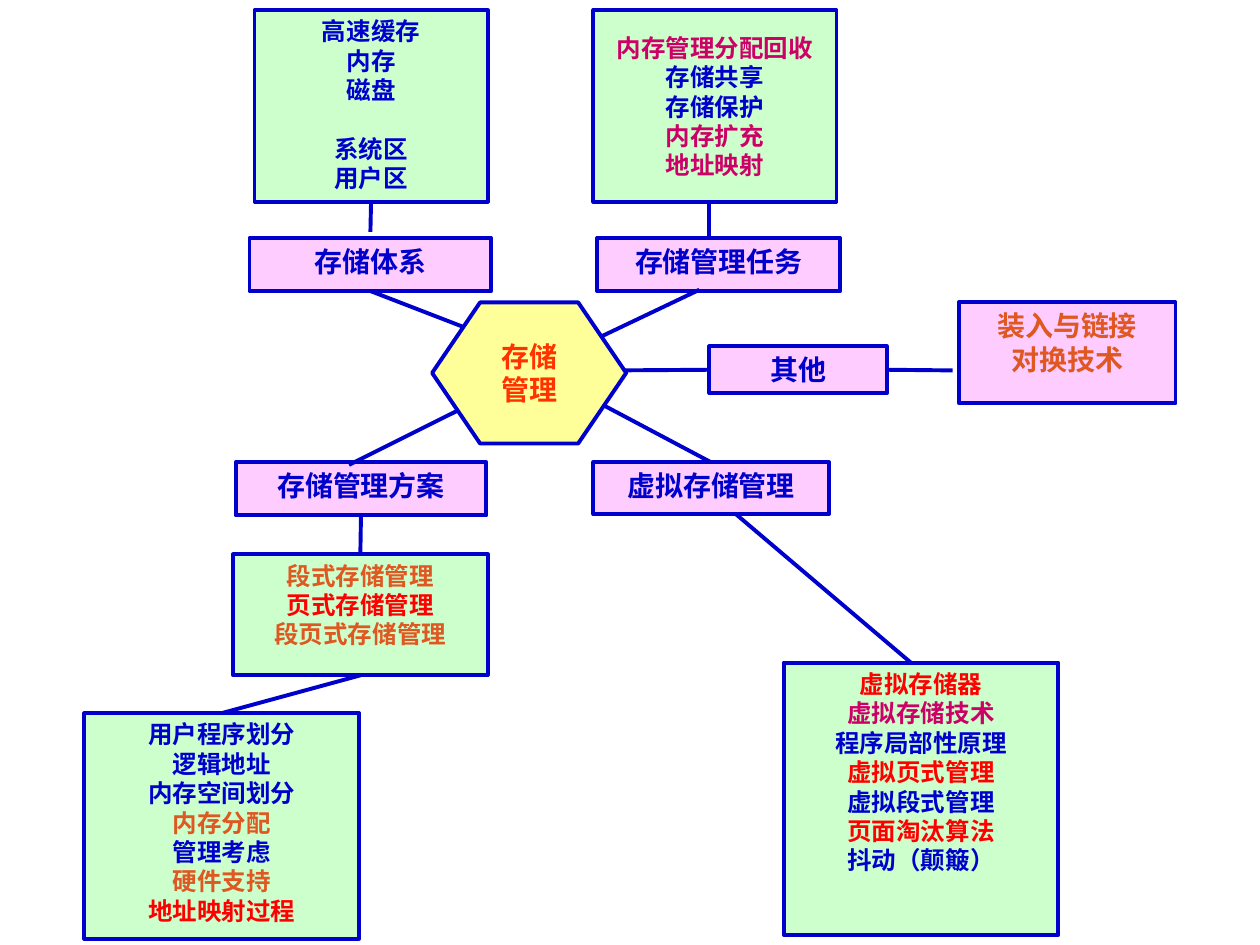
"""Build a mind map of storage management topics."""
from lxml import etree
from pptx import Presentation
from pptx import util as u
from pptx.dml.color import RGBColor
from pptx.enum import shapes, text
from pptx.oxml.ns import qn

COLORS = {"blue": "0000CC", "red": "FF0000", "magenta": "CC0066", "orange": "DF5721",
          "scarlet": "FF3300", "green": "CCFFCC", "pink": "FFCCFF", "yellow": "FFFF99"}
TOP, LEFT, BOTTOM, RIGHT = range(4)
LINE_PT = 2.25

STYLES = {
    "detail": dict(fill="green", size=14, font="Times New Roman"),
    "topic": dict(fill="pink", size=16, font="Times New Roman"),
    "core": dict(fill="yellow", size=16, font="Arial"),
}

BOXES = {
    "hierarchy": ("topic", (1.98, 1.89, 1.92, 0.42), [("blue", "存储体系")]),
    "tasks": ("topic", (4.74, 1.89, 1.93, 0.42), [("blue", "存储管理任务")]),
    "schemes": ("topic", (1.87, 3.67, 1.99, 0.42), [("blue", "存储管理方案")]),
    "virtual": ("topic", (4.71, 3.67, 1.87, 0.41), [("blue", "虚拟存储管理")]),
    "other": ("topic", (5.63, 2.75, 1.41, 0.37), [("blue", "其他")]),
    "other list": ("topic", (7.61, 2.4, 1.72, 0.8),
                   [("orange", "装入与链接"), ("orange", "对换技术")]),
    "hierarchy list": ("detail", (2.02, 0.08, 1.85, 1.52), [
        ("blue", "高速缓存"), ("blue", "内存"), ("blue", "磁盘"),
        ("blue", "系统区"), ("blue", "用户区")]),
    "tasks list": ("detail", (4.71, 0.08, 1.93, 1.52), [
        ("magenta", "内存管理分配回收"), ("blue", "存储共享"), ("blue", "存储保护"),
        ("magenta", "内存扩充"), ("magenta", "地址映射")]),
    "schemes list": ("detail", (1.85, 4.4, 2.02, 0.96), [
        ("orange", "段式存储管理"), ("red", "页式存储管理"), ("orange", "段页式存储管理")]),
    "schemes aspects": ("detail", (0.67, 5.66, 2.18, 1.79), [
        ("blue", "用户程序划分"), ("blue", "逻辑地址"), ("blue", "内存空间划分"),
        ("orange", "内存分配"), ("blue", "管理考虑"), ("orange", "硬件支持"),
        ("red", "地址映射过程")]),
    "virtual list": ("detail", (6.22, 5.26, 2.18, 2.16), [
        ("red", "虚拟存储器"), ("magenta", "虚拟存储技术"), ("blue", "程序局部性原理"),
        ("red", "虚拟页式管理"), ("blue", "虚拟段式管理"), ("red", "页面淘汰算法"),
        ("blue", "抖动（颠簸）")]),
}
CORE = ("core", (3.43, 2.4, 1.54, 1.12), [("scarlet", "存储"), ("scarlet", "管理")])
GROUP_GAPS = {"系统区": 16.8}
TOP_INSETS = {"tasks list": 0.18}

LINKS = [
    (("hierarchy", BOTTOM), (3.95, 2.7)),
    ((5.55, 2.3), (4.71, 2.7)),
    ((2.77, 3.69), (3.95, 3.1)),
    (("virtual", TOP), (4.74, 3.19)),
    ((4.87, 2.94), ("other", LEFT)),
    (("other", RIGHT), (7.56, 2.94)),
    (("hierarchy list", BOTTOM), (2.94, 1.84)),
    ((5.63, 1.59), (5.63, 1.89)),
    (("schemes", BOTTOM), ("schemes list", TOP)),
    (("schemes list", BOTTOM), ("schemes aspects", TOP)),
    ((5.84, 4.08), (7.23, 5.26)),
]


def rgb(name):
    return RGBColor.from_string(COLORS[name])


def outline(line):
    line.color.rgb = rgb("blue")
    line.width = u.Pt(LINE_PT)


def add_node(s, kind, style, place, lines, top_inset=0.05):
    look = STYLES[style]
    sp = s.shapes.add_shape(kind, *map(u.Inches, place))
    sp.shadow.inherit = False
    sp.fill.solid()
    sp.fill.fore_color.rgb = rgb(look["fill"])
    outline(sp.line)
    tf = sp.text_frame
    core = style == "core"
    frame = dict(word_wrap=not core, margin_top=u.Inches(top_inset),
                 vertical_anchor=text.MSO_ANCHOR.MIDDLE if core else text.MSO_ANCHOR.TOP)
    for key, value in frame.items():
        setattr(tf, key, value)
    for i, (color, words) in enumerate(lines):
        p = tf.add_paragraph() if i else tf.paragraphs[0]
        p.alignment = text.PP_ALIGN.CENTER
        if words in GROUP_GAPS:
            p.space_before = u.Pt(GROUP_GAPS[words])
        r = p.add_run()
        r.text = words
        for key, value in dict(name=look["font"], size=u.Pt(look["size"]), bold=True).items():
            setattr(r.font, key, value)
        r.font.color.rgb = rgb(color)
    return sp


def add_link(s, nodes, start, end):
    points = [(0, 0) if isinstance(e[0], str) else e for e in (start, end)]
    c = s.shapes.add_connector(shapes.MSO_CONNECTOR.STRAIGHT,
                               *(u.Inches(v) for point in points for v in point))
    for join, (target, site) in ((c.begin_connect, start), (c.end_connect, end)):
        if isinstance(target, str):
            join(nodes[target], site)
    outline(c.line)
    etree.SubElement(c._element.spPr, qn("a:effectLst"))


def main():
    prs = Presentation()
    prs.slide_width, prs.slide_height = u.Inches(10), u.Inches(7.5)
    s = prs.slides.add_slide(prs.slide_layouts[6])
    nodes = {name: add_node(s, shapes.MSO_SHAPE.RECTANGLE, *box, TOP_INSETS.get(name, 0.05))
             for name, box in BOXES.items()}
    for start, end in LINKS:
        add_link(s, nodes, start, end)
    core = add_node(s, shapes.MSO_SHAPE.HEXAGON, *CORE)
    core.adjustments[0] = 0.34
    prs.save("out.pptx")


if __name__ == "__main__":
    main()
